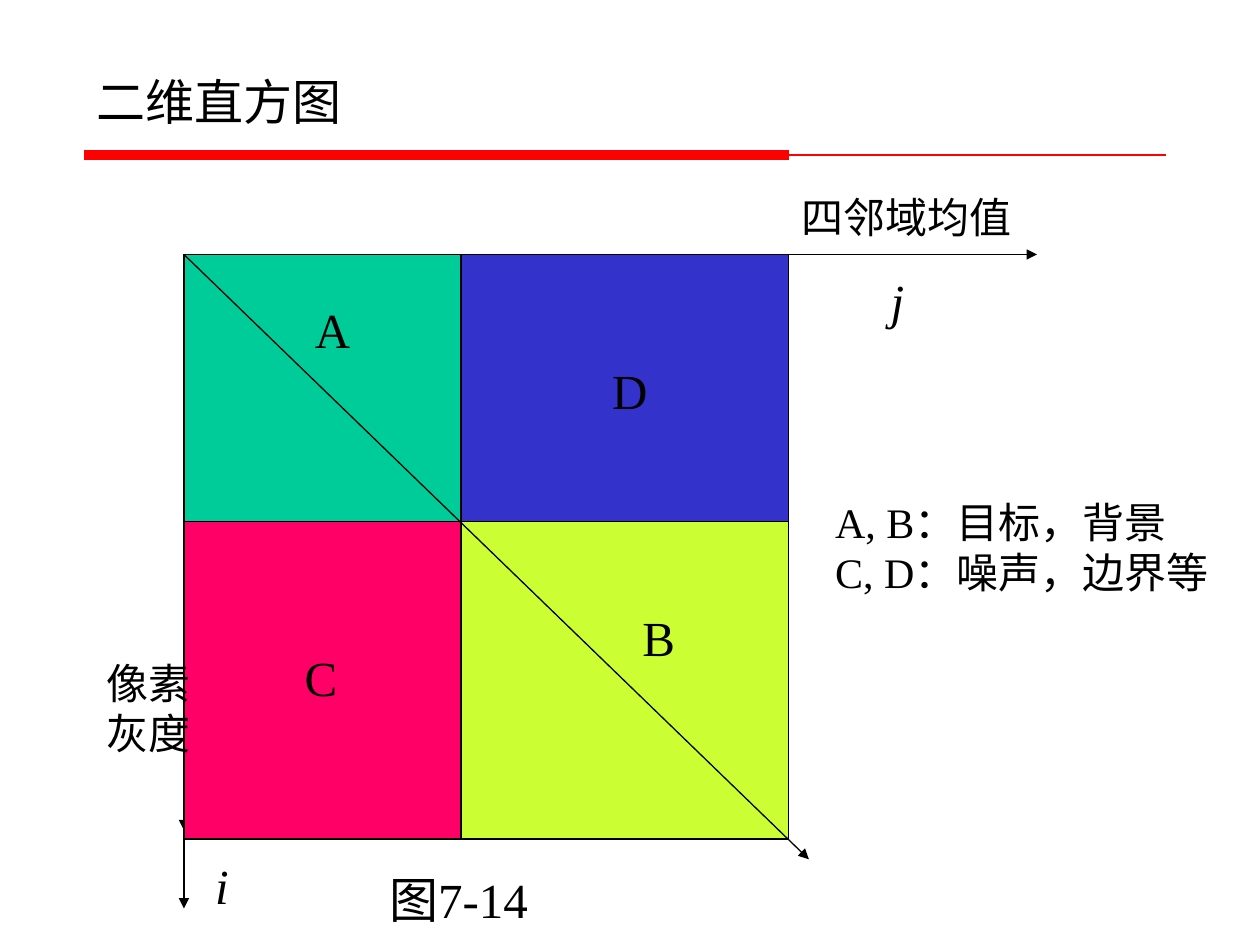
import pptx
import pptx.dml.color
import pptx.enum.shapes
import pptx.enum.text
import pptx.oxml
import pptx.oxml.ns
import pptx.util
from pptx.util import Inches

FONT = "Times New Roman"


def color(value):
    """Return the colour for a hex string."""
    return pptx.dml.color.RGBColor.from_string(value)


def add_line(slide, start, end, line_color="000000", width=0.75, arrow=False):
    """Draw a straight line between two points, optionally with an arrowhead."""
    connector = slide.shapes.add_connector(
        pptx.enum.shapes.MSO_CONNECTOR.STRAIGHT,
        Inches(start[0]), Inches(start[1]), Inches(end[0]), Inches(end[1]))
    connector.line.color.rgb = color(line_color)
    connector.line.width = pptx.util.Pt(width)
    properties = connector._element.spPr
    properties.append(pptx.oxml.parse_xml(
        f"<a:effectLst {pptx.oxml.ns.nsdecls('a')}/>"))
    if arrow:
        connector.line._get_or_add_ln().append(pptx.oxml.parse_xml(
            f"<a:tailEnd {pptx.oxml.ns.nsdecls('a')} type='triangle'/>"))


def add_text(slide, text, left, top, width, height, size=28, italic=False, wrap=True):
    """Place a text box with black text."""
    shape = slide.shapes.add_textbox(
        Inches(left), Inches(top), Inches(width), Inches(height))
    text_frame = shape.text_frame
    text_frame.word_wrap = wrap
    text_frame.text = text
    for paragraph in text_frame.paragraphs:
        for run in paragraph.runs:
            run.font.name = FONT
            run.font.size = pptx.util.Pt(size)
            run.font.italic = italic
            run.font.color.rgb = color("000000")
    return shape


def add_region(slide, left, top, width, height, fill):
    """Draw one coloured rectangle of the histogram."""
    shape = slide.shapes.add_shape(
        pptx.enum.shapes.MSO_SHAPE.RECTANGLE,
        Inches(left), Inches(top), Inches(width), Inches(height))
    shape.shadow.inherit = False
    shape.fill.solid()
    shape.fill.fore_color.rgb = color(fill)
    shape.line.color.rgb = color("000000")
    shape.line.width = pptx.util.Pt(0.75)


def add_heading(slide, left, top, width):
    """Place the title above a thin rule with a thick first part."""
    title = add_text(slide, "二维直方图", left, top, 2.6, 0.57)
    title.text_frame.vertical_anchor = pptx.enum.text.MSO_ANCHOR.MIDDLE
    rule = top + 0.71
    for length, weight in ((width, 0.75), (5.59, 6)):
        add_line(slide, (left, rule), (left + length, rule), "FF0000", weight)


def add_histogram(slide, left, top, widths, heights):
    """Draw the four regions, the axes, the diagonal and their labels."""
    def add_arrow(across, down):
        """Draw an arrow from the origin of the histogram."""
        add_line(slide, (left, top), (left + across, top + down), arrow=True)

    add_arrow(6.77, 0)
    add_arrow(0, 4.57)
    columns = (left, left + widths[0])
    rows = (top, top + heights[0])
    fills = (("00CC99", "3333CC"), ("FF0066", "CCFF33"))
    for row in (1, 0):
        for column in (1, 0):
            add_region(slide, columns[column], rows[row],
                       widths[column], heights[row], fills[row][column])
    add_arrow(0, 5.19)
    add_arrow(4.96, 4.8)

    for name, across, down in (("A", 0.94, 0.31), ("B", 3.54, 2.75),
                               ("C", 0.86, 3.07), ("D", 3.3, 0.79)):
        add_text(slide, name, left + across, top + down, 0.79, 0.57)
    for name, across, down in (("j", 5.51, 0.08), ("i", 0.15, 4.72)):
        add_text(slide, name, left + across, top + down, 1.1, 0.57, italic=True)
    add_text(slide, "像素灰度", left - 0.71, top + 3.15, 0.87, 0.9, size=24)
    add_text(slide, "四邻域均值", left + 4.8, top - 0.55, 2.13, 0.5, size=24)
    add_text(slide, "图7-14", left + 1.53, top + 4.83, 1.39, 0.57, wrap=False)


def add_legend(slide, left, top, width, height):
    """Explain what the regions stand for."""
    add_text(slide, "A, B：目标，背景\nC, D：噪声，边界等",
             left, top, width, height, size=24)


def main():
    """Build and save the slide."""
    presentation = pptx.Presentation()
    presentation.slide_width = Inches(10)
    presentation.slide_height = Inches(7.5)
    slide = presentation.slides.add_slide(presentation.slide_layouts[6])
    add_heading(slide, 0.67, 0.52, 8.58)
    add_histogram(slide, 1.46, 2.02, (2.2, 2.6), (2.12, 2.52))
    add_legend(slide, 6.53, 3.89, 3.47, 0.9)
    presentation.save("out.pptx")


if __name__ == "__main__":
    main()
